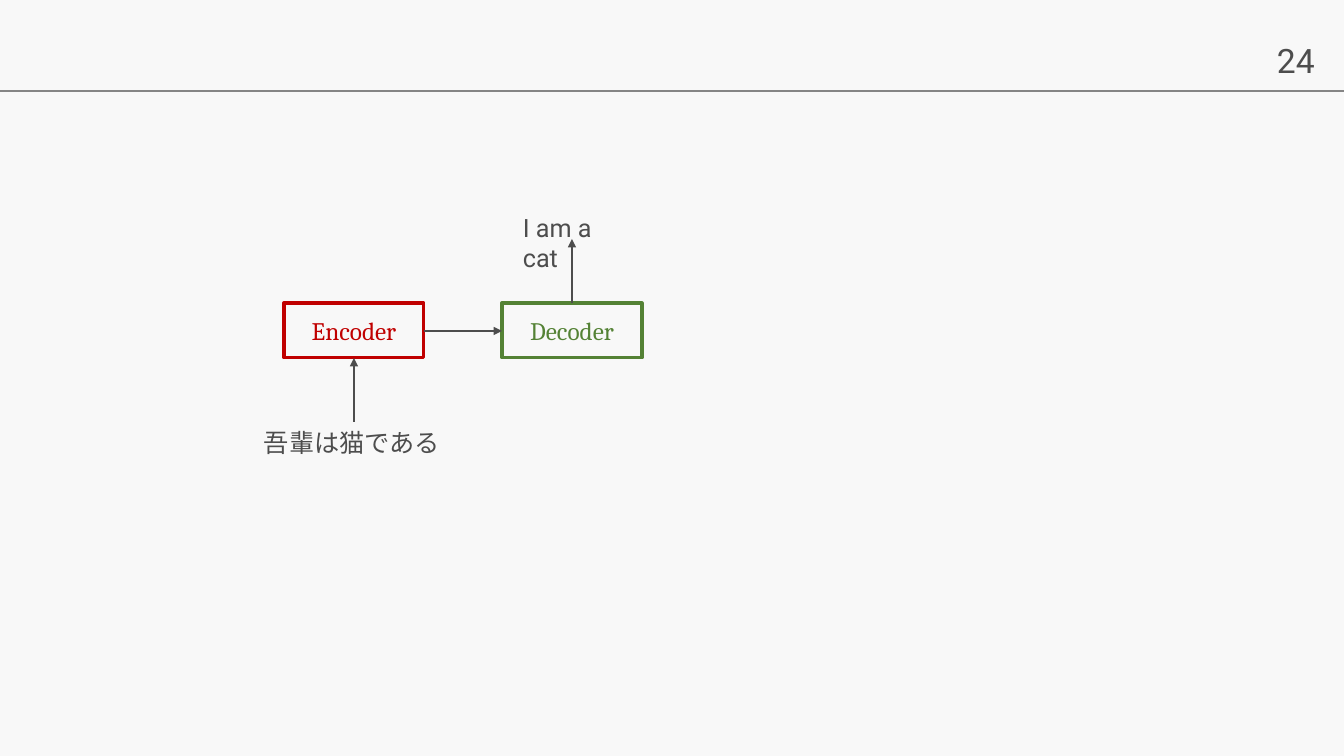
from lxml.etree import SubElement
from pptx import Presentation
from pptx.dml.color import RGBColor
from pptx.enum.shapes import MSO_CONNECTOR, MSO_SHAPE
from pptx.enum.text import MSO_ANCHOR, PP_ALIGN
from pptx.oxml.ns import qn
from pptx.util import Emu, Pt

SLIDE_WIDTH, SLIDE_HEIGHT = 1344, 756
INK, RULE, BACKGROUND = "4D4D4D", "858585", "F8F8F8"
RED, GREEN = "C00000", "548235"


def px(length):
    return Emu(round(length * 914400 / 100.8))


def color(hex_string):
    return RGBColor.from_string(hex_string)


class SlideBuilder:
    text_font = "Roboto"
    block_font = "Cambria"
    text_size = 18

    def __init__(self, presentation):
        self.slide = presentation.slides.add_slide(presentation.slide_layouts[6])
        fill = self.slide.background.fill
        fill.solid()
        fill.fore_color.rgb = color(BACKGROUND)

    def set_text(self, shape, text, font_name, hex_string, size=text_size):
        """Put one formatted paragraph in a shape and return it."""
        shape.text_frame.word_wrap = True
        paragraph = shape.text_frame.paragraphs[0]
        paragraph.text = text
        paragraph.font.name = font_name
        paragraph.font.size = Pt(size)
        paragraph.font.color.rgb = color(hex_string)
        return paragraph

    def label(self, text, left, top, width, height, size=text_size):
        box = self.slide.shapes.add_textbox(px(left), px(top), px(width), px(height))
        self.set_text(box, text, self.text_font, INK, size)

    def block(self, text, left, top, width, height, hex_string):
        """Add an outlined rectangle with a centred name."""
        shape = self.slide.shapes.add_shape(
            MSO_SHAPE.RECTANGLE, px(left), px(top), px(width), px(height))
        shape.shadow.inherit = False
        shape.fill.background()
        shape.line.color.rgb = color(hex_string)
        shape.line.width = Pt(2.25)
        frame = shape.text_frame
        frame.vertical_anchor = MSO_ANCHOR.MIDDLE
        frame.margin_left = frame.margin_right = px(10)
        frame.margin_top = frame.margin_bottom = px(10)
        paragraph = self.set_text(shape, text, self.block_font, hex_string)
        paragraph.alignment = PP_ALIGN.CENTER

    def line(self, start, end, hex_string, width):
        connector = self.slide.shapes.add_connector(
            MSO_CONNECTOR.STRAIGHT, *map(px, start + end))
        connector.line.color.rgb = color(hex_string)
        connector.line.width = Pt(width)
        SubElement(connector.element.spPr, qn("a:effectLst"))
        return connector

    def arrow(self, start, end):
        connector = self.line(start, end, INK, 1.5)
        outline = connector.element.spPr.find(qn("a:ln"))
        SubElement(outline, qn("a:tailEnd"), type="triangle")


def main():
    presentation = Presentation()
    presentation.slide_width = px(SLIDE_WIDTH)
    presentation.slide_height = px(SLIDE_HEIGHT)
    builder = SlideBuilder(presentation)

    builder.label("24", 1267, 35, 61, 50, size=24)
    builder.line((0, 91), (SLIDE_WIDTH, 91), RULE, 1)

    block_top, block_width, block_height = 303, 140, 55
    encoder_left, decoder_left = 284, 502
    block_bottom = block_top + block_height
    block_middle = block_top + block_height // 2 + 1
    encoder_center = encoder_left + block_width // 2
    decoder_center = decoder_left + block_width // 2
    arrow_length = 64

    builder.block("Encoder", encoder_left, block_top, block_width, block_height, RED)
    builder.block("Decoder", decoder_left, block_top, block_width, block_height, GREEN)
    builder.label("吾輩は猫である", 254, 422, 199, 40)
    builder.label("I am a cat", 513, 207, 125, 40)

    builder.arrow((encoder_center, block_bottom + arrow_length),
                  (encoder_center, block_bottom))
    builder.arrow((decoder_center, block_top),
                  (decoder_center, block_top - arrow_length))
    builder.arrow((encoder_left + block_width, block_middle),
                  (decoder_left, block_middle))

    presentation.save("out.pptx")


if __name__ == "__main__":
    main()
